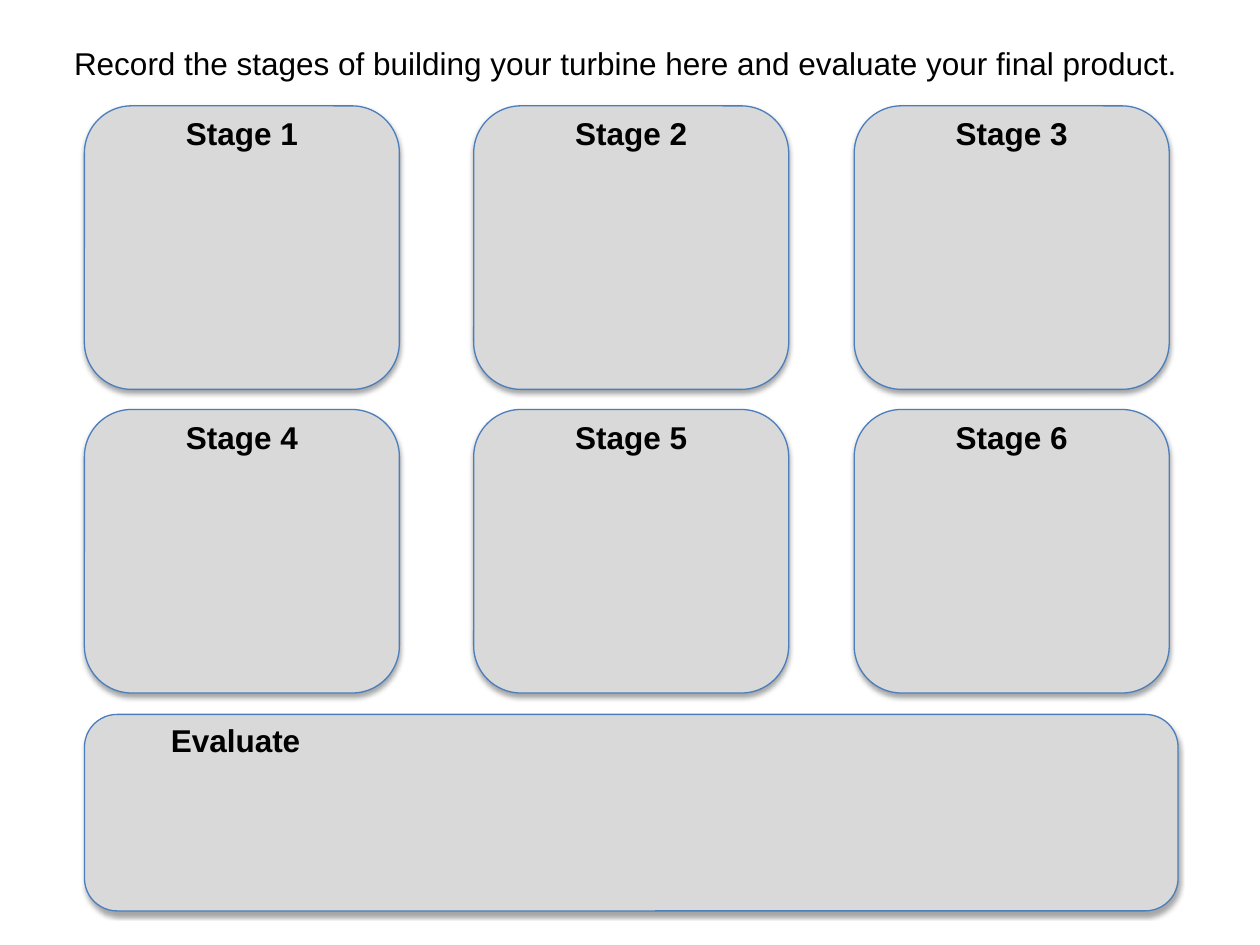
from lxml import etree
from pptx import Presentation
from pptx.dml.color import RGBColor
from pptx.enum import shapes, text
from pptx.oxml import ns
from pptx.util import Inches, Pt

GREY = RGBColor(0xD9, 0xD9, 0xD9)
BLUE = RGBColor(0x4B, 0x7E, 0xBC)
BLACK = RGBColor(0, 0, 0)

LEFTS = (0.67, 3.76, 6.78)
TOPS = (0.84, 3.25)


def add_text(slide, words, x, y, w, bold=False):
    box = slide.shapes.add_textbox(Inches(x), Inches(y), Inches(w), Inches(0.4))
    frame = box.text_frame
    frame.word_wrap = True
    frame.auto_size = text.MSO_AUTO_SIZE.SHAPE_TO_FIT_TEXT
    para = frame.paragraphs[0]
    para.text = words
    para.alignment = text.PP_ALIGN.CENTER
    font = para.font
    font.name, font.size, font.bold = "Arial", Pt(18), bold
    font.color.rgb = BLACK


def add_shade(shape):
    """Give the shape a soft shadow that falls straight down."""
    shape.shadow.inherit = False
    effects = shape._element.spPr.find(ns.qn("a:effectLst"))
    outer = etree.SubElement(
        effects, ns.qn("a:outerShdw"), blurRad=str(Pt(3.1)),
        dist=str(Pt(1.8)), dir="5400000", rotWithShape="0")
    color = etree.SubElement(outer, ns.qn("a:srgbClr"), val=str(BLACK))
    etree.SubElement(color, ns.qn("a:alpha"), val="35000")


def add_panel(slide, x, y, w, h):
    panel = slide.shapes.add_shape(
        shapes.MSO_SHAPE.ROUNDED_RECTANGLE,
        Inches(x), Inches(y), Inches(w), Inches(h))
    panel.fill.solid()
    panel.fill.fore_color.rgb = GREY
    panel.line.color.rgb = BLUE
    panel.line.width = Pt(0.75)
    add_shade(panel)


def add_stage(slide, number, x, y):
    add_panel(slide, x, y, 2.5, 2.25)
    add_text(slide, f"Stage {number}", x + 0.48, y + 0.02, 1.54, bold=True)


def add_review(slide, x, y):
    add_panel(slide, x, y, 8.68, 1.56)
    add_text(slide, "Evaluate", x + 0.05, y, 2.3, bold=True)


def main():
    deck = Presentation()
    deck.slide_width, deck.slide_height = Inches(10), Inches(7.5)
    slide = deck.slides.add_slide(deck.slide_layouts[6])

    # Instruction; its closing space counts in the centring
    add_text(slide, "Record the stages of building your turbine here "
             "and evaluate your final product. ", 0, 0.3, 10)

    # Grid of stages
    spots = [(x, y) for y in TOPS for x in LEFTS]
    for number, (x, y) in enumerate(spots, 1):
        add_stage(slide, number, x, y)

    # Evaluation
    add_review(slide, LEFTS[0], 5.67)
    deck.save("out.pptx")


if __name__ == "__main__":
    main()
